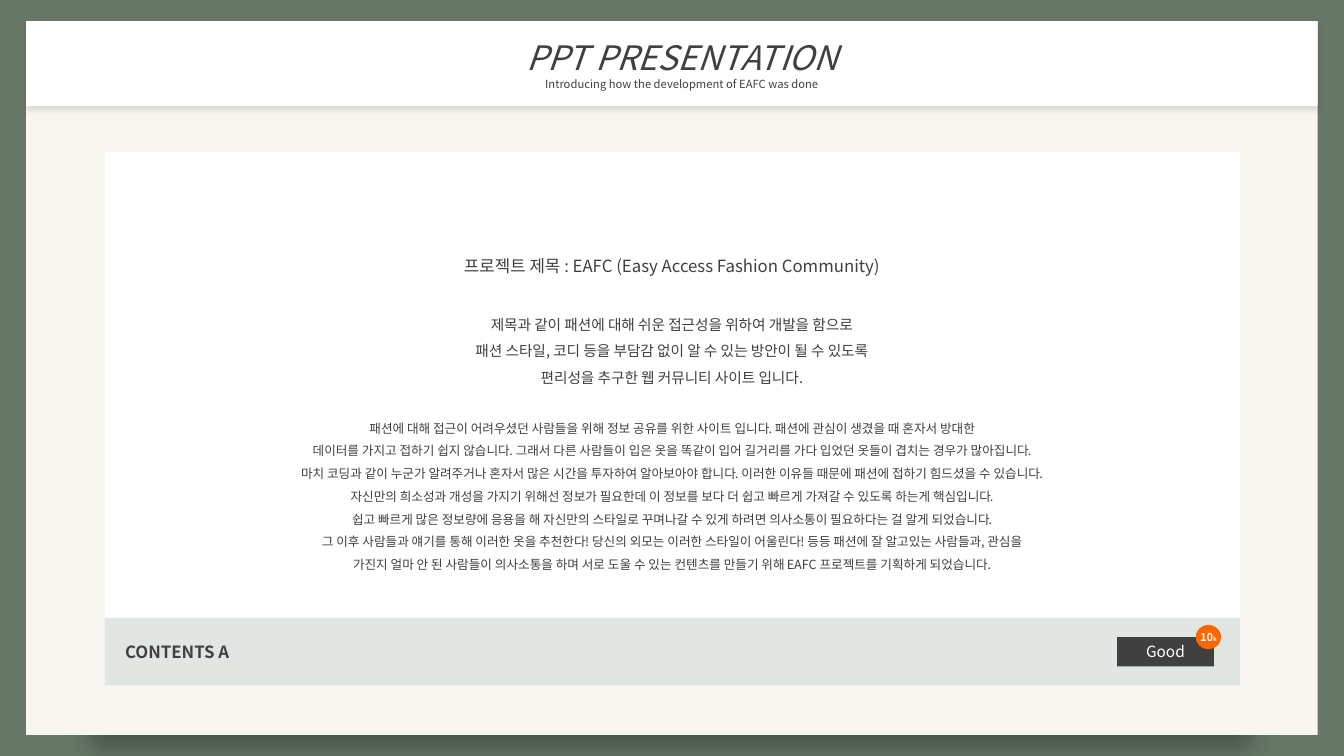
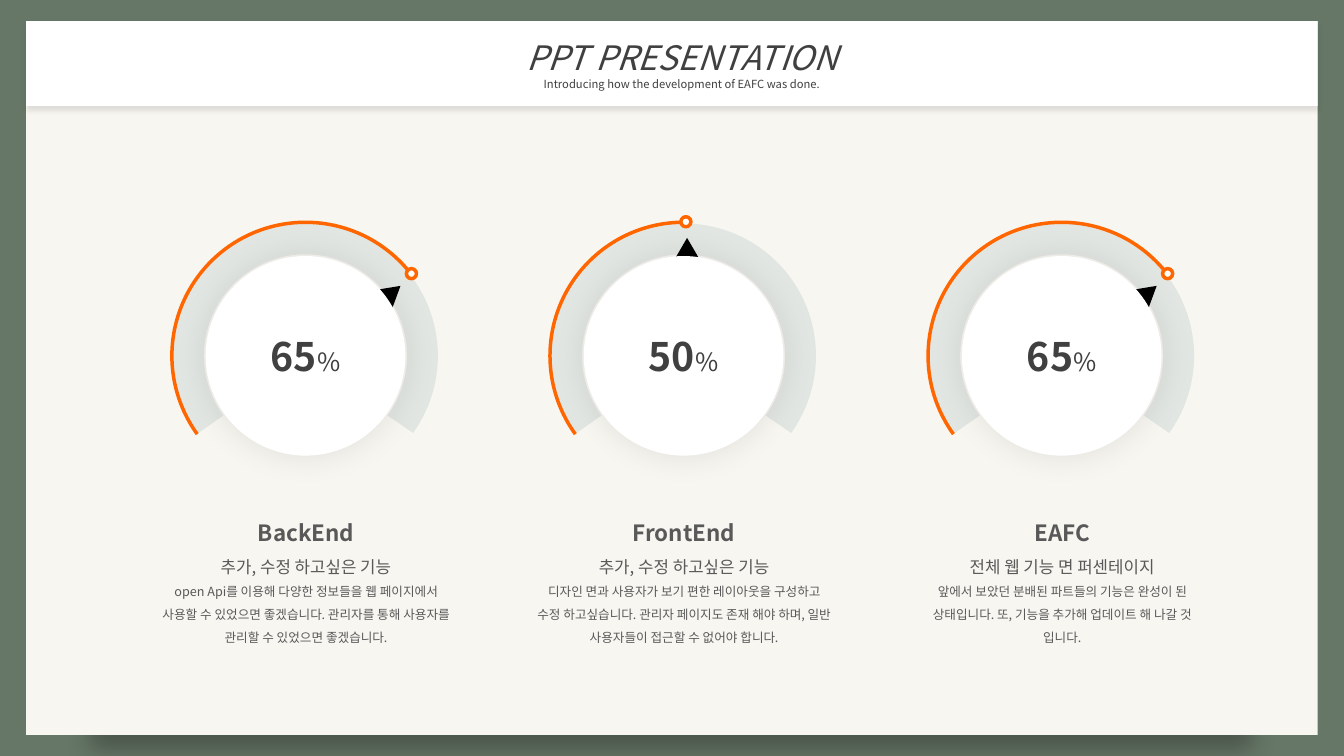
import math
from dataclasses import dataclass

from pptx import Presentation
from pptx.dml.color import RGBColor
from pptx.enum.shapes import MSO_SHAPE
from pptx.enum.text import MSO_ANCHOR, MSO_AUTO_SIZE, PP_ALIGN
from pptx.oxml.ns import qn
from pptx.oxml.xmlchemy import OxmlElement
from pptx.util import Inches, Pt

RECTANGLE, OVAL = MSO_SHAPE.RECTANGLE, MSO_SHAPE.OVAL
ARC, TRIANGLE = MSO_SHAPE.ARC, MSO_SHAPE.ISOSCELES_TRIANGLE
TOP, MIDDLE = MSO_ANCHOR.TOP, MSO_ANCHOR.MIDDLE
LEFT, CENTER = PP_ALIGN.LEFT, PP_ALIGN.CENTER
FIXED_SIZE = MSO_AUTO_SIZE.NONE

FONT = "Noto Sans CJK KR"
COLORS = {
    "frame": "667767", "paper": "F7F6F1", "white": "FFFFFF",
    "mist": "E2E6E2", "ink": "404040", "gray": "595959",
    "orange": "FF6600", "black": "000000",
}
TITLE_ONLY, TITLE_AND_BODY = 5, 1
PANEL = (0.26, 0.21, 12.81, 7.08)
HEADER = (0.26, 0.21, 12.81, 0.84)


@dataclass
class Line:
    """One paragraph, with an optional second run (text, size, bold)."""
    text: str
    size: float
    bold: bool = False
    italic: bool = False
    before: float = 0
    suffix: tuple = ()


class SlideBuilder:
    """Holds the style of the deck and the slide being built."""

    def __init__(self):
        self.deck = Presentation()
        self.deck.slide_width = Inches(13.33)
        self.deck.slide_height = Inches(7.5)
        fill = self.deck.slide_master.background.fill
        fill.solid()
        fill.fore_color.rgb = self.color("frame")
        self.slide = None

    @staticmethod
    def color(name):
        return RGBColor.from_string(COLORS[name])

    def start(self, layout, subtitle):
        """Add a slide with its paper panel and white title band."""
        self.slide = self.deck.slides.add_slide(self.deck.slide_layouts[layout])
        panel = self.shape(RECTANGLE, PANEL, "paper")
        self.shadow(panel, 28, 18, 62, scale=90, anchor="t")
        title = self.slide.shapes.title
        self.place(title, HEADER, panel)
        title.fill.solid()
        title.fill.fore_color.rgb = self.color("white")
        self.shadow(title, 10, 4, 3)
        self.set_lines(title, [Line("PPT PRESENTATION", 24, italic=True), Line(subtitle, 8)],
                       margin=0.2)

    def place(self, holder, at, behind):
        """Move a placeholder to a spot just in front of another shape."""
        holder.left, holder.top, holder.width, holder.height = map(Inches, at)
        behind.element.addnext(holder.element)

    def shape(self, kind, at, fill=None, line=None, width=0):
        shape = self.slide.shapes.add_shape(kind, *map(Inches, at))
        shape.shadow.inherit = False
        if fill:
            shape.fill.solid()
            shape.fill.fore_color.rgb = self.color(fill)
        else:
            shape.fill.background()
        if line:
            shape.line.color.rgb = self.color(line)
            shape.line.width = Pt(width)
        else:
            shape.line.fill.background()
        return shape

    def centered(self, kind, x, y, width, height, fill=None, line=None, weight=0):
        at = (x - width / 2, y - height / 2, width, height)
        return self.shape(kind, at, fill, line, weight)

    def arc(self, x, y, size, start, end, line, weight):
        """Draw a clockwise arc; angles are in degrees from the right."""
        arc = self.centered(ARC, x, y, size, size, line=line, weight=weight)
        # Adjustments count 60000 units a degree in steps of 100000
        arc.adjustments[0] = start * 0.6
        arc.adjustments[1] = end * 0.6

    def shadow(self, shape, alpha, blur, distance, scale=100, anchor="ctr"):
        shape.shadow.inherit = False
        effects = shape.element.spPr.find(qn("a:effectLst"))
        outer = OxmlElement("a:outerShdw")
        settings = {"blurRad": Pt(blur), "dist": Pt(distance), "dir": 5400000,
                    "sx": scale * 1000, "sy": scale * 1000,
                    "algn": anchor, "rotWithShape": 0}
        for name, value in settings.items():
            outer.set(name, str(value))
        tint = OxmlElement("a:srgbClr")
        tint.set("val", COLORS["black"])
        opacity = OxmlElement("a:alpha")
        opacity.set("val", str(alpha * 1000))
        tint.append(opacity)
        outer.append(tint)
        effects.append(outer)

    def text(self, at, lines, color):
        box = self.slide.shapes.add_textbox(*map(Inches, at))
        self.set_lines(box, lines, color, anchor=TOP, spacing=1.5)

    def body(self, at, lines, behind):
        holder = self.slide.placeholders[1]
        self.place(holder, at, behind)
        self.set_lines(holder, lines, anchor=TOP, spacing=1.5)

    def set_lines(self, box, lines, color="ink", align=CENTER, anchor=MIDDLE,
                  spacing=1.0, margin=0, inset=0.1, wrap=True):
        frame = box.text_frame
        frame.word_wrap = wrap
        frame.auto_size = FIXED_SIZE
        frame.vertical_anchor = anchor
        frame.margin_left = Inches(inset)
        frame.text = "\n".join(line.text for line in lines)
        for para, line in zip(frame.paragraphs, lines):
            para.alignment = align
            para.line_spacing = spacing
            para.space_before = Pt(line.before)
            properties = para._p.get_or_add_pPr()
            properties.set("marL", str(Inches(margin)))
            properties.set("indent", "0")
            properties.append(OxmlElement("a:buNone"))
            self.style(para.runs[0], line.size, line.bold, line.italic, color)
            if line.suffix:
                text, size, bold = line.suffix
                span = para.add_run()
                span.text = text
                self.style(span, size, bold, False, color)

    def style(self, span, size, bold, italic, color):
        font = span.font
        font.size, font.bold, font.italic = Pt(size), bold, italic
        font.color.rgb = self.color(color)
        font.name = FONT
        east_asian = OxmlElement("a:ea")
        east_asian.set("typeface", FONT)
        span._r.get_or_add_rPr().find(qn("a:latin")).addnext(east_asian)

    def gauge(self, x, y, percent, arc_end, knob_angle, pointer_angle, turn):
        """Draw a dial with its track, progress arc, knob, pointer and value."""
        def polar(radius, angle):
            radians = math.radians(angle)
            return x + radius * math.cos(radians), y + radius * math.sin(radians)

        self.arc(x, y, 2.32, 144.11, 35.83, "mist", 22)
        self.arc(x, y, 2.65, 144.11, arc_end, "orange", 2.5)
        self.centered(OVAL, *polar(1.33, knob_angle), 0.1, 0.1, "white", "orange", 2.5)
        pointer = self.centered(TRIANGLE, *polar(1.05, pointer_angle), 0.28, 0.24, "black")
        pointer.rotation = turn
        face = self.centered(OVAL, x, y, 1.98, 1.98, "white")
        self.shadow(face, 8, 22, 0, scale=102)
        self.set_lines(face, [Line(percent, 28, bold=True, suffix=("%", 18, False))])


# Project description
PROJECT_TITLE = "프로젝트 제목 : EAFC (Easy Access Fashion Community)"
SUMMARY = [
    "제목과 같이 패션에 대해 쉬운 접근성을 위하여 개발을 함으로",
    "패션 스타일, 코디 등을 부담감 없이 알 수 있는 방안이 될 수 있도록",
    "편리성을 추구한 웹 커뮤니티 사이트 입니다.",
]
DETAILS = [
    "패션에 대해 접근이 어려우셨던 사람들을 위해 정보 공유를 위한 사이트 입니다. 패션에 관심이 생겼을 때 혼자서 방대한",
    "데이터를 가지고 접하기 쉽지 않습니다. 그래서 다른 사람들이 입은 옷을 똑같이 입어 길거리를 가다 입었던 옷들이 겹치는 경우가 많아집니다.",
    "마치 코딩과 같이 누군가 알려주거나 혼자서 많은 시간을 투자하여 알아보아야 합니다. 이러한 이유들 때문에 패션에 접하기 힘드셨을 수 있습니다.",
    "자신만의 희소성과 개성을 가지기 위해선 정보가 필요한데 이 정보를 보다 더 쉽고 빠르게 가져갈 수 있도록 하는게 핵심입니다.",
    "쉽고 빠르게 많은 정보량에 응용을 해 자신만의 스타일로 꾸며나갈 수 있게 하려면 의사소통이 필요하다는 걸 알게 되었습니다.",
    "그 이후 사람들과 얘기를 통해 이러한 옷을 추천한다! 당신의 외모는 이러한 스타일이 어울린다! 등등 패션에 잘 알고있는 사람들과, 관심을",
    "가진지 얼마 안 된 사람들이 의사소통을 하며 서로 도울 수 있는 컨텐츠를 만들기 위해 EAFC 프로젝트를 기획하게 되었습니다.",
]

# Progress of each part; a dial is arc end, knob, pointer angle and pointer turn
DIALS = {"65": (322.84, 322.2, 324, 50.4), "50": (268.77, 271, 271.9, 0)}
PARTS = [
    ("65", "BackEnd", "추가, 수정 하고싶은 기능",
     "open Api를 이용해 다양한 정보들을 웹 페이지에서 사용할 수 있었으면 좋겠습니다. "
     "관리자를 통해 사용자를 관리할 수 있었으면 좋겠습니다."),
    ("50", "FrontEnd", "추가, 수정 하고싶은 기능",
     "디자인 면과 사용자가 보기 편한 레이아웃을 구성하고 수정 하고싶습니다. "
     "관리자 페이지도 존재 해야 하며, 일반 사용자들이 접근할 수 없어야 합니다."),
    ("65", "EAFC", "전체 웹 기능 면 퍼센테이지",
     "앞에서 보았던 분배된 파트들의 기능은 완성이 된 상태입니다. "
     "또, 기능을 추가해 업데이트 해 나갈 것 입니다."),
]


def build_project_slide(builder):
    builder.start(TITLE_AND_BODY, "Introducing how the development of EAFC was done")
    card = builder.shape(RECTANGLE, (1.04, 1.51, 11.26, 4.62), "white")
    lines = [Line(PROJECT_TITLE, 12)]
    for texts, size, gap in ((SUMMARY, 10.5, 22), (DETAILS, 9, 19)):
        lines += [Line(text, size, before=0 if index else gap)
                  for index, text in enumerate(texts)]
    builder.body((1.54, 2.39, 10.25, 3.36), lines, card)

    # Footer bar with button and badge
    bar = builder.shape(RECTANGLE, (1.04, 6.13, 11.26, 0.67), "mist")
    builder.set_lines(bar, [Line("CONTENTS A", 12, bold=True)], align=LEFT, inset=0.2)
    button = builder.shape(RECTANGLE, (11.08, 6.32, 0.96, 0.29), "ink")
    builder.set_lines(button, [Line("Good", 11)], "white")
    badge = builder.shape(OVAL, (11.86, 6.2, 0.25, 0.24), "orange")
    builder.set_lines(badge, [Line("10", 8, bold=True, suffix=("k", 4, True))],
                      "white", wrap=False)


def build_progress_slide(builder):
    builder.start(TITLE_ONLY, "Introducing how the development of EAFC was done.")
    for column, (percent, name, heading, description) in enumerate(PARTS):
        x = 3.03 + 3.75 * column
        builder.gauge(x, 3.53, percent, *DIALS[percent])
        builder.text((x - 1.56, 4.97, 3.13, 1.49),
                     [Line(name, 16, bold=True), Line(heading, 12), Line(description, 9)],
                     "gray")


def main():
    builder = SlideBuilder()
    build_project_slide(builder)
    build_progress_slide(builder)
    builder.deck.save("out.pptx")


if __name__ == "__main__":
    main()
